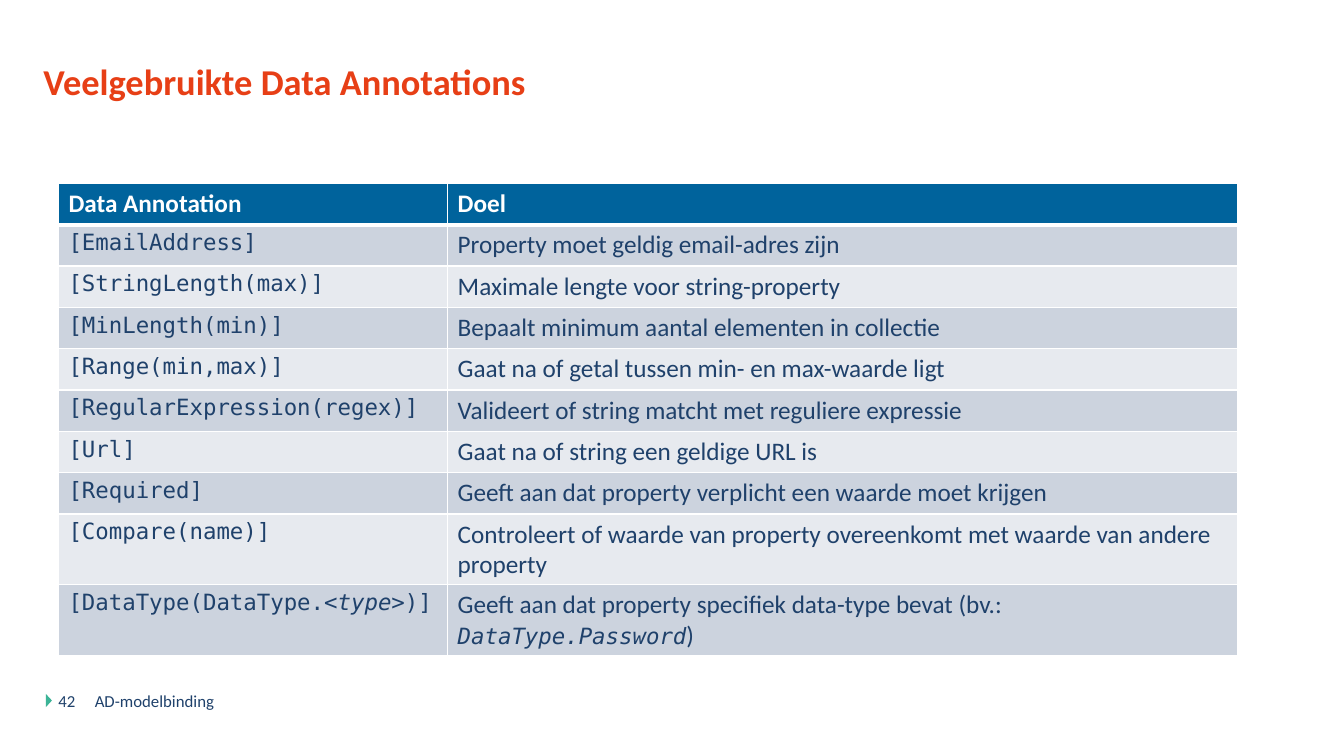
from dataclasses import dataclass

import lxml.etree
import pptx
import pptx.dml.color
import pptx.enum.shapes
import pptx.oxml.ns
import pptx.util

Inches = pptx.util.Inches
Pt = pptx.util.Pt
RGBColor = pptx.dml.color.RGBColor

WHITE = RGBColor(0xFF, 0xFF, 0xFF)
NAVY = RGBColor(0x1F, 0x41, 0x6B)
BLUE = RGBColor(0x00, 0x63, 0x9C)
RED = RGBColor(0xE7, 0x3F, 0x16)
GREEN = RGBColor(0x3C, 0xB4, 0x97)
DARK = RGBColor(0xCC, 0xD3, 0xDE)
LIGHT = RGBColor(0xE7, 0xEA, 0xEF)


@dataclass(frozen=True)
class Run:
    text: str
    size: float = 18
    color: RGBColor = NAVY
    font: str = "Calibri"
    bold: bool = False
    slant: bool = False


@dataclass(frozen=True)
class Label:
    left: float
    top: float
    width: float
    height: float
    run: Run
    space: float = 1.0


def code(text: str, slant: bool = False) -> Run:
    return Run(text, 16, font="DejaVu Sans Mono", slant=slant)


def head(text: str) -> Run:
    return Run(text, color=WHITE, bold=True)


LABELS = [
    Label(0.43, 0.67, 11.5, 0.75,
          Run("Veelgebruikte Data Annotations", 26, RED, bold=True), 0.8),
    Label(0.94, 6.85, 4.5, 0.4, Run("AD-modelbinding", 12)),
    Label(0.58, 6.85, 0.31, 0.4, Run("42", 12)),
]

# Each row holds two cells, each cell a list of runs
ROWS = [
    ([head("Data Annotation")], [head("Doel")]),
    ([code("[EmailAddress]")], [Run("Property moet geldig email-adres zijn")]),
    ([code("[StringLength(max)]")], [Run("Maximale lengte voor string-property")]),
    ([code("[MinLength(min)]")],
     [Run("Bepaalt minimum aantal elementen in collectie")]),
    ([code("[Range(min,max)]")],
     [Run("Gaat na of getal tussen min- en max-waarde ligt")]),
    ([code("[RegularExpression(regex)]")],
     [Run("Valideert of string matcht met reguliere expressie")]),
    ([code("[Url]")], [Run("Gaat na of string een geldige URL is")]),
    ([code("[Required]")],
     [Run("Geeft aan dat property verplicht een waarde moet krijgen")]),
    ([code("[Compare(name)]")],
     [Run("Controleert of waarde van property overeenkomt met waarde van "
          "andere property")]),
    ([code("[DataType(DataType."), code("<type>", True), code(")]")],
     [Run("Geeft aan dat property specifiek data-type bevat (bv.: "),
      code("DataType.Password", True), Run(")")]),
]
WIDTHS = (3.86, 7.83)
HIGH = 0.41


def write(para, runs: list[Run]) -> None:
    for item in runs:
        run = para.add_run()
        run.text = item.text
        font = run.font
        font.name = item.font
        font.size = Pt(item.size)
        font.color.rgb = item.color
        font.bold = item.bold
        font.italic = item.slant


def label(slide, item: Label) -> None:
    box = slide.shapes.add_textbox(Inches(item.left), Inches(item.top),
                                   Inches(item.width), Inches(item.height))
    frame = box.text_frame
    frame.word_wrap = True
    frame.margin_left = frame.margin_right = 0
    frame.margin_top = frame.margin_bottom = 0
    para = frame.paragraphs[0]
    para.line_spacing = item.space
    write(para, [item.run])


def edge(cell, top: float, bottom: float) -> None:
    qn = pptx.oxml.ns.qn
    props = cell._tc.get_or_add_tcPr()
    for side, width in (("L", 1), ("R", 1), ("T", top), ("B", bottom)):
        line = lxml.etree.SubElement(props, qn(f"a:ln{side}"), w=str(Pt(width)))
        fill = lxml.etree.SubElement(line, qn("a:solidFill"))
        lxml.etree.SubElement(fill, qn("a:srgbClr"), val=str(WHITE))


def grid(slide) -> None:
    table = slide.shapes.add_table(
        len(ROWS), len(WIDTHS), Inches(0.58), Inches(1.82),
        Inches(sum(WIDTHS)), Inches(HIGH * len(ROWS))).table
    for col, width in zip(table.columns, WIDTHS):
        col.width = Inches(width)
    for r, row in enumerate(ROWS):
        table.rows[r].height = Inches(HIGH)
        color = BLUE if r == 0 else DARK if r % 2 else LIGHT
        for c, runs in enumerate(row):
            cell = table.cell(r, c)
            edge(cell, 3 if r == 1 else 1, 3 if r == 0 else 1)
            cell.fill.solid()
            cell.fill.fore_color.rgb = color
            write(cell.text_frame.paragraphs[0], runs)


def mark(slide) -> None:
    shape = slide.shapes.add_shape(
        pptx.enum.shapes.MSO_SHAPE.ISOSCELES_TRIANGLE,
        Inches(0.42), Inches(6.92), Inches(0.13), Inches(0.06))
    shape.rotation = 90
    shape.shadow.inherit = False
    shape.fill.solid()
    shape.fill.fore_color.rgb = GREEN
    shape.line.fill.background()


def main() -> None:
    deck = pptx.Presentation()
    deck.slide_width = Inches(13.33)
    deck.slide_height = Inches(7.5)
    slide = deck.slides.add_slide(deck.slide_layouts[6])

    # Footer marker, title and footer texts
    mark(slide)
    for item in LABELS:
        label(slide, item)

    # Table of annotations
    grid(slide)
    deck.save("out.pptx")


if __name__ == "__main__":
    main()
